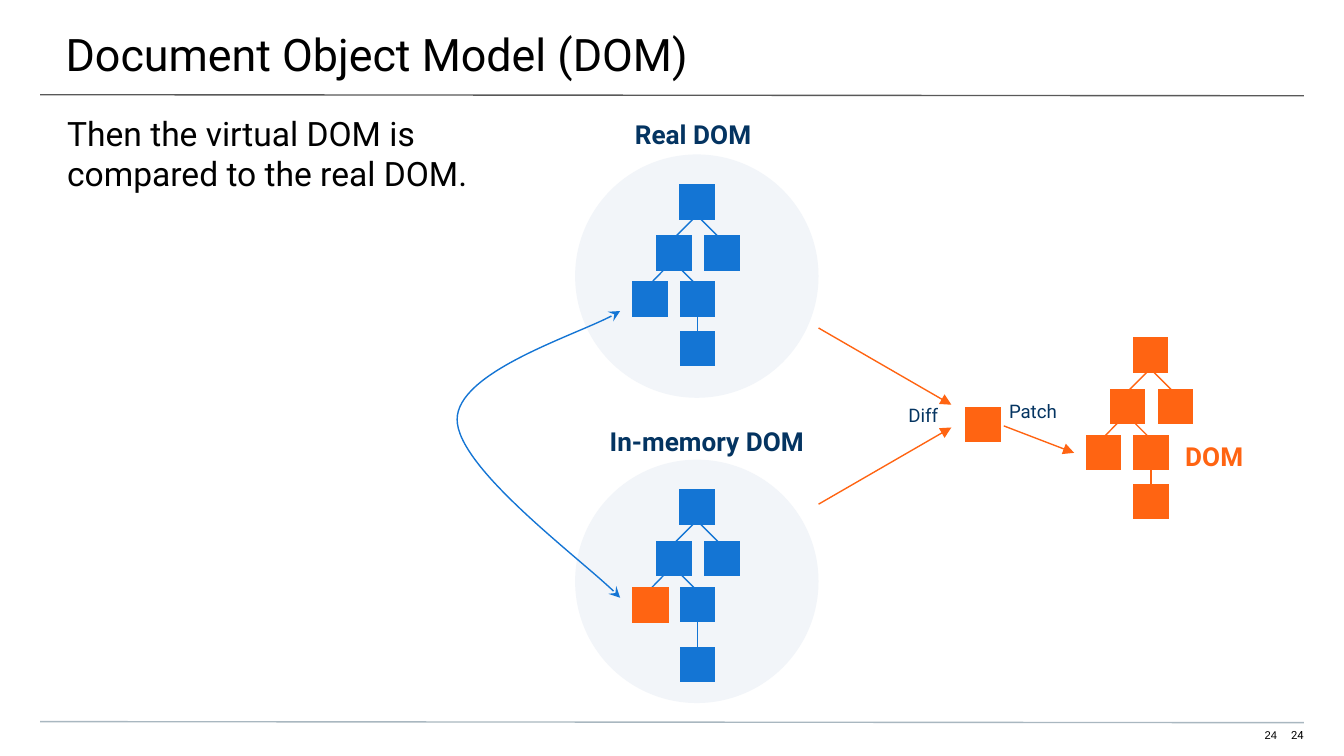
from lxml.etree import SubElement
from pptx import Presentation
from pptx.dml.color import RGBColor
from pptx.enum.shapes import MSO_CONNECTOR, MSO_SHAPE
from pptx.enum.text import MSO_ANCHOR, PP_ALIGN
from pptx.oxml.ns import qn
from pptx.util import Cm, Pt

THEME = {
    "black": "000000", "navy": "043461", "blue": "1475D4", "orange": "FF6412",
    "pale": "F2F5F9", "rule": "595959", "footer": "A9B7C0",
    "font": "Roboto", "number_font": "Arial", "line": 0.75,
    "title": 24, "body": 18, "heading": 14, "label": 10, "number": 6,
}

# All lengths are centimetres.
SLIDE_SIZE = (25.4, 14.29)
NODE = 0.67
CHANGED_NODE = 0.69
CIRCLE = 4.6

LABEL_INSETS = (0.25, 0.25, 0.25, 0.25)
NUMBER_INSETS = (0, 0, 0, 0.25)
NUMBER_PLACE = (23.9, 13.77, 0.74, 0.3)

# text, place (left, top, width, height), insets, size, colour, format
TEXTS = [
    ("Document Object Model (DOM)", (-0.03, 0, 25.48, 1.47),
     (1.27, 0.51, 0.76, 0.25), "title", "black", {}),
    ("Then the virtual DOM is compared to the real DOM.", (0, 1.88, 10.72, 3.61),
     (1.27, 0.25, 1.27, 0), "body", "black", {}),
    ("Real DOM", (10.94, 1.98, 4.32, 0.97),
     LABEL_INSETS, "heading", "navy", {"bold": True, "align": PP_ALIGN.CENTER}),
    ("In-memory DOM", (10.72, 7.8, 5.28, 0.97),
     LABEL_INSETS, "heading", "navy", {"bold": True, "align": PP_ALIGN.CENTER}),
    ("DOM", (22.15, 8.08, 2.49, 0.97),
     LABEL_INSETS, "heading", "orange", {"bold": True}),
    ("Diff", (16.92, 7.42, 1.14, 0.81), LABEL_INSETS, "label", "navy", {}),
    ("Patch", (18.82, 7.34, 2.49, 0.81), LABEL_INSETS, "label", "navy", {}),
    ("24", NUMBER_PLACE, NUMBER_INSETS, "number", "black", {"align": PP_ALIGN.RIGHT}),
    ("24", NUMBER_PLACE, NUMBER_INSETS, "number", "black", {"font": "number_font"}),
]

RULES = [
    ((0.76, 1.79), (24.64, 1.81), "rule"),
    ((0.76, 13.64), (24.64, 13.66), "footer"),
]
ARROWS = [
    ((15.47, 6.2), (17.98, 7.65), "orange"),
    ((15.47, 9.53), (17.98, 8.08), "orange"),
    ((18.97, 8.05), (20.3, 8.56), "orange"),
]
CIRCLES = [(10.87, 2.92), (10.87, 8.69)]
DIFF_NODE = (18.24, 7.69)

# Offsets from the top left corner of a tree's root node.
NODES = {"root": (0, 0), "left": (-0.44, 0.97), "right": (0.47, 0.97),
         "leaf": (-0.89, 1.84), "middle": (0.01, 1.84)}
EDGES = [((0.15, 0.41), (0.86, 1.12)), ((0.41, 0.51), (-0.3, 1.22)),
         ((-0.28, 1.3), (0.43, 2.01)), ((-0.05, 1.37), (-0.76, 2.1)),
         ((0.34, 2.36), (0.34, 3.1))]
# root position, colour, drop to the bottom node, changed nodes
TREES = [
    ((12.84, 3.48), "blue", 2.77, {}),
    ((12.84, 9.25), "blue", 2.98, {"leaf": "orange"}),
    ((21.41, 6.38), "orange", 2.77, {}),
]

# A start point followed by two cubic curves of three points each.
COMPARE_CURVE = [(11.72, 5.88), (11.21, 6.23), (8.64, 7.04), (8.64, 7.93),
                 (8.64, 8.83), (11.21, 10.74), (11.72, 11.3)]


def colour(name):
    return RGBColor.from_string(THEME[name])


def shift(origin, offset):
    return origin[0] + offset[0], origin[1] + offset[1]


def add_text(page, text, place, insets, size, ink, style):
    box = page.shapes.add_textbox(*map(Cm, place))
    frame = box.text_frame
    sides = ("left", "top", "right", "bottom")
    settings = {f"margin_{side}": Cm(inset) for side, inset in zip(sides, insets)}
    settings |= {"word_wrap": True, "vertical_anchor": MSO_ANCHOR.TOP}
    for name, value in settings.items():
        setattr(frame, name, value)
    paragraph = frame.paragraphs[0]
    paragraph.alignment = style.get("align", PP_ALIGN.LEFT)
    span = paragraph.add_run()
    span.text = text
    font_values = {"name": THEME[style.get("font", "font")],
                   "size": Pt(THEME[size]), "bold": style.get("bold", False)}
    for name, value in font_values.items():
        setattr(span.font, name, value)
    span.font.color.rgb = colour(ink)


def add_shape(page, kind, position, size, fill):
    shape = page.shapes.add_shape(kind, *map(Cm, (*position, size, size)))
    shape.shadow.inherit = False
    shape.fill.solid()
    shape.fill.fore_color.rgb = colour(fill)
    shape.line.fill.background()


def style_line(shape, ink, **ends):
    """Set colour and width; ends maps headEnd or tailEnd to an arrow type."""
    shape.line.color.rgb = colour(ink)
    shape.line.width = Pt(THEME["line"])
    outline = shape.line._get_or_add_ln()
    for end, kind in ends.items():
        SubElement(outline, qn(f"a:{end}"), type=kind)


def add_line(page, start, finish, ink, **ends):
    line = page.shapes.add_connector(MSO_CONNECTOR.STRAIGHT, *map(Cm, (*start, *finish)))
    style_line(line, ink, **ends)
    SubElement(line._element.spPr, qn("a:effectLst"))


def add_curve(page, points, ink):
    """Outline the points, then join each three segments into one cubic curve."""
    corners = [(Cm(x), Cm(y)) for x, y in points]
    builder = page.shapes.build_freeform(*corners[0])
    builder.add_line_segments(corners[1:], close=False)
    curve = builder.convert_to_shape()
    curve.shadow.inherit = False
    curve.fill.background()
    style_line(curve, ink, headEnd="stealth", tailEnd="stealth")
    outline = next(curve._element.iter(qn("a:path")))
    segments = outline.findall(qn("a:lnTo"))
    for first in range(0, len(segments), 3):
        cubic = SubElement(outline, qn("a:cubicBezTo"))
        for segment in segments[first:first + 3]:
            cubic.append(segment[0])
            outline.remove(segment)


def add_tree(page, root, ink, drop, changed):
    for start, finish in EDGES:
        add_line(page, shift(root, start), shift(root, finish), ink)
    nodes = NODES | {"bottom": (NODES["middle"][0], drop)}
    for name, offset in nodes.items():
        size = CHANGED_NODE if name in changed else NODE
        add_shape(page, MSO_SHAPE.FLOWCHART_PROCESS, shift(root, offset),
                  size, changed.get(name, ink))


def main():
    deck = Presentation()
    deck.slide_width, deck.slide_height = map(Cm, SLIDE_SIZE)
    page = deck.slides.add_slide(deck.slide_layouts[6])
    for rule in RULES:
        add_line(page, *rule)
    for position in CIRCLES:
        add_shape(page, MSO_SHAPE.OVAL, position, CIRCLE, "pale")
    for tree in TREES:
        add_tree(page, *tree)
    add_shape(page, MSO_SHAPE.FLOWCHART_PROCESS, DIFF_NODE, NODE, "orange")
    for arrow in ARROWS:
        add_line(page, *arrow, tailEnd="triangle")
    add_curve(page, COMPARE_CURVE, "blue")
    for text in TEXTS:
        add_text(page, *text)
    deck.save("out.pptx")


if __name__ == "__main__":
    main()
